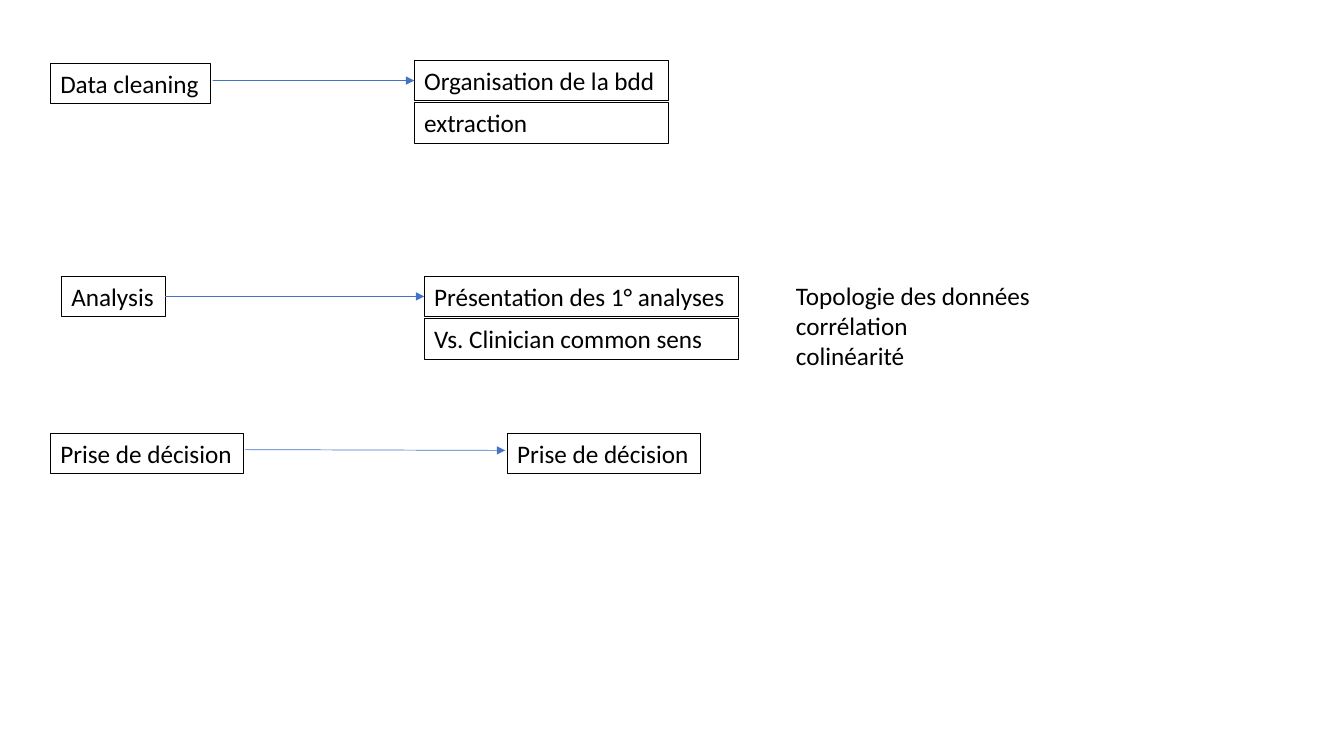
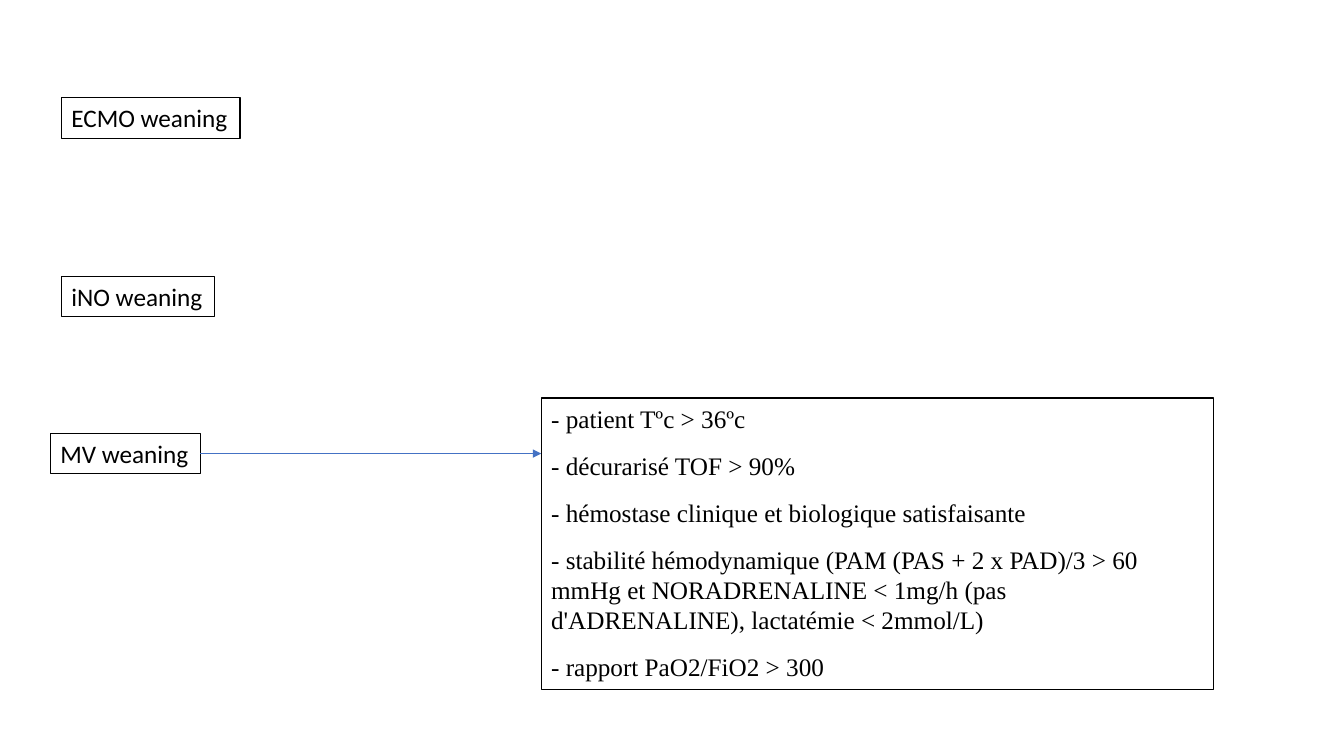
"""Build two slides on the data workflow and on the weaning criteria."""
import pptx
import pptx.dml.color
import pptx.enum.shapes
import pptx.enum.text
import pptx.oxml.ns
import pptx.util
from lxml import etree

Cm = pptx.util.Cm
Pt = pptx.util.Pt
BLACK = pptx.dml.color.RGBColor(0x00, 0x00, 0x00)
BLUE = pptx.dml.color.RGBColor(0x44, 0x72, 0xC4)
LEFT, INDENTED = 1.27, 1.55
ANALYSIS_TOP, DECISION_TOP = 6.96, 10.92
ROW, STACK_STEP = 1.02, 1.07
RIGHT_SIDE, LEFT_SIDE = 3, 1


def add_label(slide, lines, left, top, width, height=ROW, wrap=False,
              outlined=True, font="Calibri", space_after=0):
    label = slide.shapes.add_textbox(Cm(left), Cm(top), Cm(width), Cm(height))
    if outlined:
        label.line.color.rgb = BLACK
        label.line.width = Pt(0.75)
    frame = label.text_frame
    frame.text = "\n".join(lines)
    frame.word_wrap = wrap
    frame.auto_size = pptx.enum.text.MSO_AUTO_SIZE.SHAPE_TO_FIT_TEXT
    for paragraph in frame.paragraphs:
        paragraph.font.name = font
        paragraph.font.size = Pt(18)
        paragraph.font.color.rgb = BLACK
        paragraph.space_after = Pt(space_after)
    return label


def add_arrow(slide, start, end, source=None, target=None):
    arrow = slide.shapes.add_connector(
        pptx.enum.shapes.MSO_CONNECTOR.STRAIGHT, *map(Cm, start + end))
    if source is not None:
        arrow.begin_connect(source, RIGHT_SIDE)
    if target is not None:
        arrow.end_connect(target, LEFT_SIDE)
    arrow.line.color.rgb = BLUE
    arrow.line.width = Pt(0.5)
    outline = arrow.line._get_or_add_ln()
    etree.SubElement(outline, pptx.oxml.ns.qn("a:tailEnd"), type="triangle")
    etree.SubElement(arrow._element.spPr, pptx.oxml.ns.qn("a:effectLst"))


deck = pptx.Presentation()
deck.slide_width = Cm(33.87)
deck.slide_height = Cm(19.05)
blank = deck.slide_layouts[6]

workflow = deck.slides.add_slide(blank)
add_label(workflow, ["Data cleaning"], LEFT, 1.6, 4.04)
analysis = add_label(workflow, ["Analysis"], INDENTED, ANALYSIS_TOP, 2.62)
for left in (LEFT, 12.78):
    add_label(workflow, ["Prise de décision"], left, DECISION_TOP, 4.88)

stack_heads = []
for left, top, width, head, follower in (
    (10.44, 1.52, 6.4, "Organisation de la bdd", "extraction"),
    (10.69, ANALYSIS_TOP, 7.92, "Présentation des 1° analyses",
     "Vs. Clinician common sens"),
):
    stack_heads.append(add_label(workflow, [head], left, top, width))
    add_label(workflow, [follower], left, top + STACK_STEP, width, wrap=True)
organisation, first_analyses = stack_heads

add_arrow(workflow, (5.36, 2.03), (10.44, 2.03), target=organisation)
add_arrow(workflow, (4.17, 7.47), (10.69, 7.47), analysis, first_analyses)
add_arrow(workflow, (6.17, 11.33), (12.73, 11.35))
add_label(workflow, ["Topologie des données", "corrélation", "colinéarité"],
          19.81, 6.93, 7.92, 2.57, wrap=True, outlined=False)

weaning = deck.slides.add_slide(blank)
add_label(weaning, ["ECMO weaning"], INDENTED, 2.46, 4.5)
add_label(weaning, ["iNO weaning"], INDENTED, ANALYSIS_TOP, 3.86)
ventilation = add_label(weaning, ["MV weaning"], LEFT, DECISION_TOP, 3.78)
add_arrow(weaning, (5.05, 11.43), (13.64, 11.43), source=ventilation)
criteria = [
    "- patient Tºc > 36ºc",
    "- décurarisé TOF > 90%",
    "- hémostase clinique et biologique satisfaisante",
    "- stabilité hémodynamique (PAM (PAS + 2 x PAD)/3 > 60 mmHg et "
    "NORADRENALINE < 1mg/h (pas d'ADRENALINE), lactatémie < 2mmol/L)",
    "- rapport PaO2/FiO2 > 300",
]
add_label(weaning, criteria, 13.64, 10.03, 16.94, 7.34, wrap=True,
          font="Times New Roman", space_after=12)

deck.save("out.pptx")
